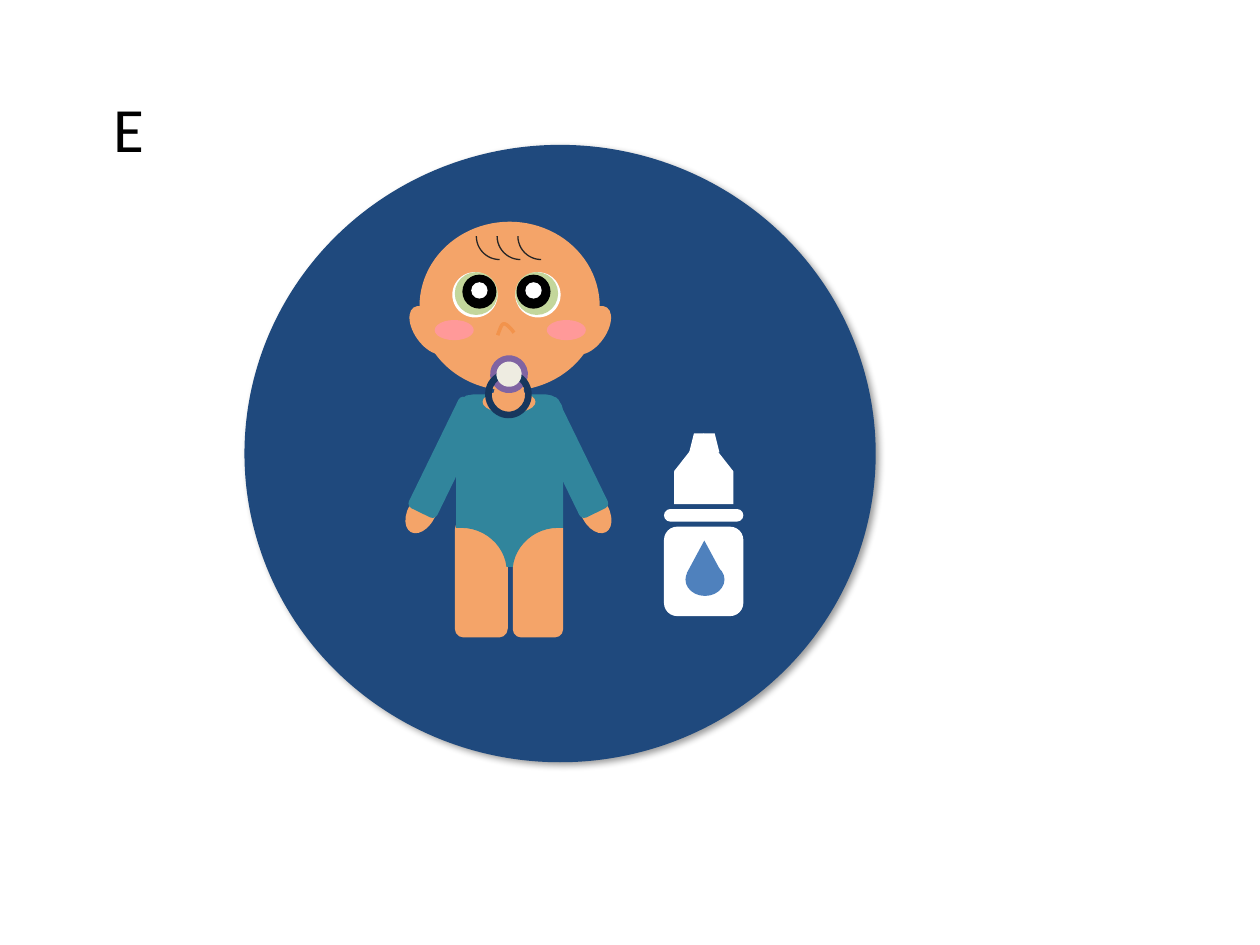
"""Build a slide with a baby and a dropper bottle on a round badge."""
from lxml import etree
from pptx import Presentation, util as u
from pptx.dml import color
from pptx.enum import shapes, text
from pptx.oxml import ns

KIND = shapes.MSO_SHAPE
COLORS = {
    "navy": "1F497D", "skin": "F4A469", "teal": "31859C", "purple": "8064A2",
    "ring": "17375E", "cream": "EEECE1", "pink": "FF9999", "nose": "F2934C",
    "white": "FFFFFF", "iris": "C3D69B", "black": "000000", "hair": "262626",
    "drop": "4F81BD",
}
BADGE = (KIND.OVAL, "navy", (1.94, 1.15, 5.01, 4.9))
LEGS = [
    (KIND.ROUNDED_RECTANGLE, "skin", (4.07, 4.13, 0.4, 0.93)),
    (KIND.ROUNDED_RECTANGLE, "skin", (3.61, 4.13, 0.42, 0.93)),
]
ARM_AXIS, HEAD_AXIS, EYE_AXIS = 4.035, 4.05, 4.02
ARMS = [
    (KIND.FLOWCHART_DELAY, "skin", (3.17, 3.96, 0.35, 0.22), 118.5),
    (KIND.ROUNDED_RECTANGLE, "teal", (3.43, 3.14, 0.25, 0.98), 26),
]
EARS = [(KIND.OVAL, "skin", (3.29, 2.4, 0.24, 0.44), 324.7)]
CHEEKS = [(KIND.OVAL, "pink", (3.45, 2.54, 0.31, 0.16))]
EYES = [
    (KIND.OVAL, "white", (3.59, 2.16, 0.36, 0.36)),
    (KIND.OVAL, "iris", (3.61, 2.16, 0.34, 0.34)),
    (KIND.OVAL, "black", (3.67, 2.18, 0.27, 0.27)),
    (KIND.OVAL, "white", (3.74, 2.24, 0.13, 0.13)),
]
NECK = [
    (KIND.OVAL, "skin", (3.83, 3.1, 0.42, 0.18)),
    (KIND.TRAPEZOID, "skin", (3.89, 2.99, 0.3, 0.24)),
]
FACE = [
    (KIND.OVAL, "skin", (3.33, 1.76, 1.43, 1.34)),
    (KIND.FLOWCHART_CONNECTOR, "purple", (3.89, 2.82, 0.3, 0.3), 353.8),
    (KIND.DONUT, "ring", (3.85, 2.94, 0.37, 0.38), 353.8, 0.141),
    (KIND.FLOWCHART_CONNECTOR, "cream", (3.94, 2.87, 0.2, 0.2), 353.8),
]
BOTTLE = [
    (KIND.ROUNDED_RECTANGLE, "white", (5.27, 4.18, 0.63, 0.71)),
    (KIND.ROUNDED_RECTANGLE, "white", (5.27, 4.04, 0.63, 0.1), 0, 0.5),
    (KIND.SNIP_2_SAME_RECTANGLE, "white", (5.35, 3.69, 0.47, 0.31)),
    (KIND.TRAPEZOID, "white", (5.47, 3.44, 0.24, 0.15)),
    (KIND.ISOSCELES_TRIANGLE, "white", (5.35, 3.44, 0.47, 0.3)),
    (KIND.OVAL, "drop", (5.44, 4.47, 0.31, 0.26)),
    (KIND.FLOWCHART_EXTRACT, "drop", (5.45, 4.29, 0.28, 0.26)),
]
BODYSUIT = [
    [(3.76, 3.13)], [(4.33, 3.13)], [(4.38, 3.14)], [(4.43, 3.17)],
    [(4.46, 3.22)], [(4.47, 3.27)], [(4.47, 4.19)], [(4.43, 4.19)],
    [(4.24, 4.19), (4.09, 4.33), (4.07, 4.5)], [(4.02, 4.5)],
    [(4, 4.33), (3.85, 4.19), (3.66, 4.19)], [(3.62, 4.19)], [(3.62, 3.27)],
    [(3.63, 3.22)], [(3.66, 3.17)], [(3.7, 3.14)],
]
NOSE = [
    [(3.95, 2.66)],
    [(3.97, 2.61), (3.98, 2.57), (4, 2.57)],
    [(4.02, 2.57), (4.05, 2.6), (4.08, 2.64)],
]
HAIR = {"left": 3.78, "top": 1.69, "size": 0.37, "step": 0.165, "count": 3}
LABEL = ("E", (0.8, 0.66, 0.45, 0.71))
LABEL_FORMAT = {"name": "Calibri", "size": u.Pt(36)}
CURVE_STEPS = 12


def rgb(name):
    return color.RGBColor.from_string(COLORS[name])


def paint(shape, fill=None, line=None, width=0):
    shape.shadow.inherit = False
    if fill:
        shape.fill.solid()
        shape.fill.fore_color.rgb = rgb(fill)
    else:
        shape.fill.background()
    if line:
        shape.line.color.rgb = rgb(line)
        shape.line.width = u.Pt(width)
    else:
        shape.line.fill.background()
    return shape


def add_part(art, kind, fill, place, turn=0, adjust=None, line=None, width=0):
    shape = art.shapes.add_shape(kind, *map(u.Inches, place))
    shape.rotation = turn
    if adjust is not None:
        shape.adjustments[0] = adjust
    return paint(shape, fill, line, width)


def add_parts(art, parts):
    for part in parts:
        add_part(art, *part)


def add_mirrored(art, parts, axis):
    add_parts(art, parts)
    for kind, fill, (left, top, width, height), *turn in parts:
        place = (2 * axis - left - width, top, width, height)
        shape = add_part(art, kind, fill, place, -sum(turn) % 360)
        shape.element.spPr.find(ns.qn("a:xfrm")).set("flipH", "1")


def curve_points(start, first, second, end):
    for step in range(1, CURVE_STEPS + 1):
        t = step / CURVE_STEPS
        weights = ((1 - t) ** 3, 3 * t * (1 - t) ** 2, 3 * t * t * (1 - t), t ** 3)
        yield tuple(sum(w * p for w, p in zip(weights, axis))
                    for axis in zip(start, first, second, end))


def add_outline(art, segments, close, **style):
    points = list(segments[0])
    for segment in segments[1:]:
        points += curve_points(points[-1], *segment) if len(segment) == 3 else segment
    spots = [(u.Inches(x), u.Inches(y)) for x, y in points]
    builder = art.shapes.build_freeform(*spots[0])
    builder.add_line_segments(spots[1:], close=close)
    paint(builder.convert_to_shape(), **style)


def add_badge(art):
    effects = add_part(art, *BADGE).element.spPr.find(ns.qn("a:effectLst"))
    shadow = etree.SubElement(
        effects, ns.qn("a:outerShdw"), blurRad=str(u.Pt(4)), dist=str(u.Pt(3)),
        dir="2700000", algn="tl", rotWithShape="0")
    tint = etree.SubElement(shadow, ns.qn("a:srgbClr"), val=COLORS["black"])
    etree.SubElement(tint, ns.qn("a:alpha"), val="40000")


def add_hair(art):
    for index in range(HAIR["count"]):
        left = HAIR["left"] + index * HAIR["step"]
        place = (left, HAIR["top"], HAIR["size"], HAIR["size"])
        add_part(art, KIND.ARC, None, place, 180, line="hair", width=0.75)


def add_label(page):
    words, place = LABEL
    box = page.shapes.add_textbox(*map(u.Inches, place))
    box.text_frame.word_wrap = False
    box.text_frame.auto_size = text.MSO_AUTO_SIZE.SHAPE_TO_FIT_TEXT
    span = box.text_frame.paragraphs[0].add_run()
    span.text = words
    for name, value in LABEL_FORMAT.items():
        setattr(span.font, name, value)
    span.font.color.rgb = rgb("black")


def main():
    deck = Presentation()
    deck.slide_width, deck.slide_height = u.Inches(10), u.Inches(7.5)
    page = deck.slides.add_slide(deck.slide_layouts[6])
    add_label(page)
    art = page.shapes.add_group_shape()
    add_badge(art)
    add_parts(art, LEGS)
    add_mirrored(art, ARMS, ARM_AXIS)
    add_outline(art, BODYSUIT, True, fill="teal")
    add_parts(art, NECK)
    add_mirrored(art, EARS, HEAD_AXIS)
    add_parts(art, FACE)
    add_mirrored(art, CHEEKS, HEAD_AXIS)
    add_outline(art, NOSE, False, line="nose", width=2)
    add_mirrored(art, EYES, EYE_AXIS)
    add_hair(art)
    add_parts(art, BOTTLE)
    deck.save("out.pptx")


if __name__ == "__main__":
    main()
